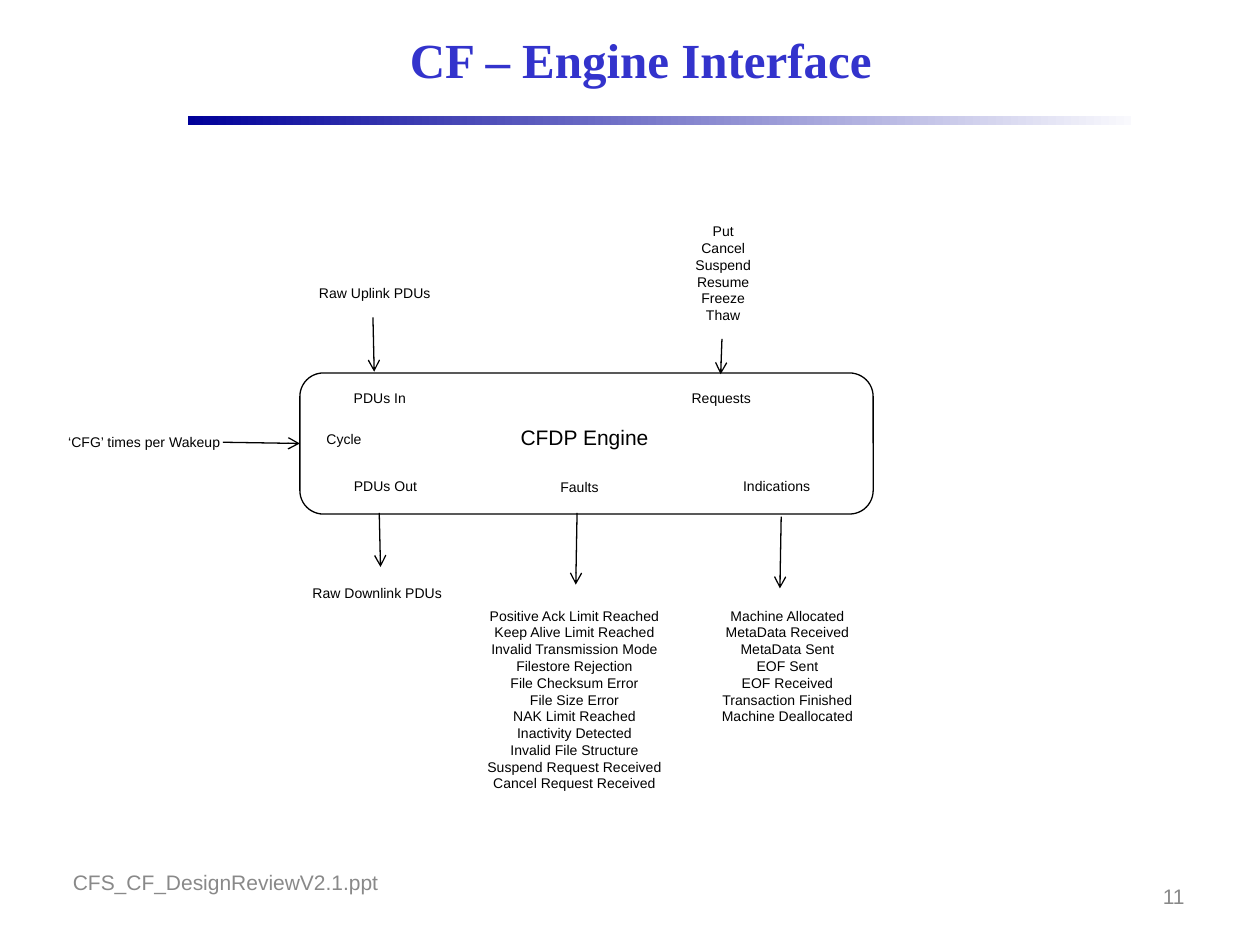
from dataclasses import dataclass

from lxml import etree
from pptx import Presentation
from pptx.dml.color import RGBColor
from pptx.enum.shapes import MSO_CONNECTOR, MSO_SHAPE
from pptx.enum.text import MSO_ANCHOR, MSO_AUTO_SIZE, PP_ALIGN
from pptx.oxml.ns import qn
from pptx.shapes.autoshape import Shape
from pptx.shapes.connector import Connector
from pptx.slide import Slide
from pptx.util import Inches, Pt

STRAIGHT = MSO_CONNECTOR.STRAIGHT
RECTANGLE, ROUNDED = MSO_SHAPE.RECTANGLE, MSO_SHAPE.ROUNDED_RECTANGLE
TOP, MIDDLE = MSO_ANCHOR.TOP, MSO_ANCHOR.MIDDLE
FIT_SHAPE, NO_FIT = MSO_AUTO_SIZE.SHAPE_TO_FIT_TEXT, MSO_AUTO_SIZE.NONE
LEFT, CENTER, RIGHT = PP_ALIGN.LEFT, PP_ALIGN.CENTER, PP_ALIGN.RIGHT
LEFT_SIDE = 1

COLORS = {
    "black": "000000",
    "title": "3333CC",
    "footer": "898989",
    "bar_start": "000099",
    "bar_end": "F9F9FD",
}


@dataclass
class Label:
    left: float
    top: float
    width: float
    height: float
    lines: tuple[str, ...]
    size: int = 8
    color: str = "black"
    font: str = "Arial"
    bold: bool = False
    align: PP_ALIGN = CENTER
    anchor: MSO_ANCHOR = TOP
    wrap: bool = False
    fit: MSO_AUTO_SIZE = FIT_SHAPE
    inset: float = 0.05


@dataclass
class Arrow:
    start: tuple[float, float]
    end: tuple[float, float]


HEADINGS = [
    Label(1.5, 0.09, 7.17, 0.75, ("CF – Engine Interface",), 28, "title",
          "Times New Roman", True, CENTER, MIDDLE, True, NO_FIT),
    Label(7.17, 6.91, 2.33, 0.4, ("11",), 12, "footer",
          align=RIGHT, anchor=MIDDLE, wrap=True, fit=NO_FIT),
    Label(0.48, 6.9, 6.33, 0.4, ("CFS_CF_DesignReviewV2.1.ppt",), 12, "footer",
          align=LEFT, wrap=True, fit=NO_FIT, inset=0),
]

ENGINE_LABELS = [
    Label(3.66, 3.32, 1.96, 0.3, ("CFDP Engine",), 12, wrap=True),
    Label(2.71, 3.04, 0.61, 0.24, ("PDUs In",)),
    Label(5.39, 3.04, 0.67, 0.24, ("Requests",)),
    Label(2.49, 3.37, 0.48, 0.24, ("Cycle",)),
    Label(2.71, 3.74, 0.7, 0.24, ("PDUs Out",)),
    Label(4.35, 3.75, 0.5, 0.24, ("Faults",)),
    Label(5.8, 3.74, 0.73, 0.24, ("Indications",)),
]

OUTER_LABELS = [
    Label(2.43, 2.21, 1.09, 0.24, ("Raw Uplink PDUs",)),
    Label(5.42, 1.72, 0.64, 0.9,
          ("Put", "Cancel", "Suspend", "Resume", "Freeze", "Thaw")),
    Label(0.44, 3.39, 1.41, 0.24, ("‘CFG’ times per Wakeup",)),
    Label(2.38, 4.59, 1.23, 0.24, ("Raw Downlink PDUs",)),
    Label(3.77, 4.77, 1.58, 1.57, (
        "Positive Ack Limit Reached", "Keep Alive Limit Reached",
        "Invalid Transmission Mode", "Filestore Rejection",
        "File Checksum Error", "File Size Error", "NAK Limit Reached",
        "Inactivity Detected", "Invalid File Structure",
        "Suspend Request Received", "Cancel Request Received")),
    Label(5.63, 4.77, 1.24, 1.03, (
        "Machine Allocated", "MetaData Received", "MetaData Sent", "EOF Sent",
        "EOF Received", "Transaction Finished", "Machine Deallocated")),
]

ARROWS = [
    Arrow((2.96, 2.52), (2.97, 2.95)),
    Arrow((5.73, 2.69), (5.72, 2.97)),
    Arrow((3.01, 4.07), (3.02, 4.5)),
    Arrow((4.58, 4.07), (4.57, 4.64)),
    Arrow((6.2, 4.1), (6.19, 4.67)),
]
CYCLE_ARROW = Arrow((1.77, 3.51), (2.38, 3.52))


def color(name: str) -> RGBColor:
    """Return a named colour."""
    return RGBColor.from_string(COLORS[name])


def apply(target: object, values: dict[str, object]) -> None:
    """Set each attribute in a dict of format values."""
    for name, value in values.items():
        setattr(target, name, value)


def add_label(slide: Slide, label: Label) -> None:
    """Draw a text box with one paragraph per line, with slim sides if unwrapped."""
    box = slide.shapes.add_textbox(Inches(label.left), Inches(label.top),
                                   Inches(label.width), Inches(label.height))
    frame = box.text_frame
    side = Inches(0.1 if label.wrap else 0.03)
    apply(frame, {
        "word_wrap": label.wrap,
        "auto_size": label.fit,
        "vertical_anchor": label.anchor,
        "margin_left": side,
        "margin_right": side,
        "margin_top": Inches(label.inset),
        "margin_bottom": Inches(label.inset),
    })
    frame.text = "\n".join(label.lines)
    for para in frame.paragraphs:
        para.alignment = label.align
        for span in para.runs:
            apply(span.font, {"name": label.font, "size": Pt(label.size),
                              "bold": label.bold})
            span.font.color.rgb = color(label.color)


def add_bar(slide: Slide) -> None:
    """Draw the fading bar under the title."""
    bar = slide.shapes.add_shape(RECTANGLE, Inches(1.49), Inches(0.92),
                                 Inches(7.49), Inches(0.07))
    bar.shadow.inherit = False
    bar.line.fill.background()
    bar.fill.gradient()
    bar.fill.gradient_angle = 0
    for stop, name in zip(bar.fill.gradient_stops, ("bar_start", "bar_end")):
        stop.color.rgb = color(name)


def add_engine(slide: Slide) -> Shape:
    """Draw the rounded outline of the engine."""
    engine = slide.shapes.add_shape(ROUNDED, Inches(2.38), Inches(2.96),
                                    Inches(4.55), Inches(1.12))
    engine.shadow.inherit = False
    engine.fill.background()
    engine.line.color.rgb = color("black")
    engine.line.width = Pt(0.75)
    return engine


def add_arrow(slide: Slide, arrow: Arrow) -> Connector:
    """Draw a thin line with an open arrowhead at its end."""
    points = [Inches(value) for value in (*arrow.start, *arrow.end)]
    connector = slide.shapes.add_connector(STRAIGHT, *points)
    connector.line.color.rgb = color("black")
    connector.line.width = Pt(0.75)
    properties = connector.line._get_or_add_ln()
    etree.SubElement(properties, qn("a:tailEnd"), type="arrow")
    etree.SubElement(properties.getparent(), qn("a:effectLst"))
    return connector


def main() -> None:
    """Build the engine interface slide and save it."""
    deck = Presentation()
    apply(deck, {"slide_width": Inches(10), "slide_height": Inches(7.5)})
    page = deck.slides.add_slide(deck.slide_layouts[6])
    add_bar(page)
    engine = add_engine(page)
    for label in HEADINGS + ENGINE_LABELS + OUTER_LABELS:
        add_label(page, label)
    for arrow in ARROWS:
        add_arrow(page, arrow)
    add_arrow(page, CYCLE_ARROW).end_connect(engine, LEFT_SIDE)
    deck.save("out.pptx")


if __name__ == "__main__":
    main()
